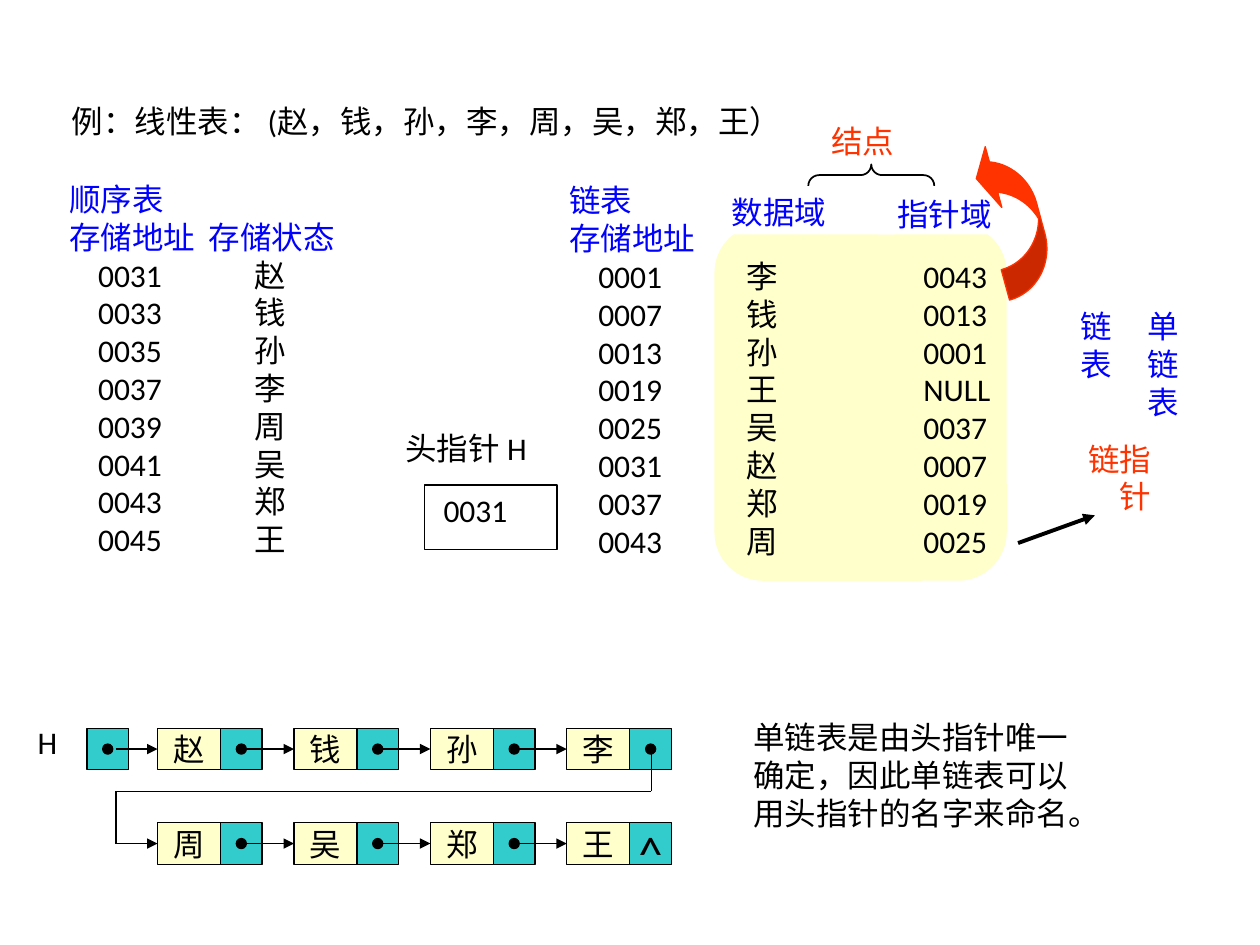
from dataclasses import dataclass

from lxml import etree
from pptx import Presentation
from pptx.dml.color import RGBColor
from pptx.enum.shapes import MSO_CONNECTOR, MSO_SHAPE
from pptx.enum.text import MSO_ANCHOR, PP_ALIGN
from pptx.oxml.ns import qn
from pptx.util import Inches, Pt

BLACK = RGBColor(0x00, 0x00, 0x00)
WHITE = RGBColor(0xFF, 0xFF, 0xFF)
BLUE = RGBColor(0x00, 0x00, 0xFF)
RED = RGBColor(0xFF, 0x33, 0x00)
CREAM = RGBColor(0xFF, 0xFF, 0xCC)
TEAL = RGBColor(0x33, 0xCC, 0xCC)
LATIN = "Calibri"
CHINESE = "Noto Sans CJK SC"
NOTE_FONT = "Noto Sans CJK JP"
RECTANGLE = MSO_SHAPE.RECTANGLE
STRAIGHT = MSO_CONNECTOR.STRAIGHT
TOP = MSO_ANCHOR.TOP
MIDDLE = MSO_ANCHOR.MIDDLE
LEFT = PP_ALIGN.LEFT
CENTER = PP_ALIGN.CENTER
LINE_PITCH = Pt(21.6)
CELL_HEIGHT = 0.33
DATA_WIDTH = 0.5
DOT_SIZE = 0.08
FIRST_NODE_X = 1.25
NODE_PITCH = 1.083
TURN_X = 0.92


@dataclass(frozen=True)
class Box:
    left: float
    top: float
    width: float
    height: float


@dataclass(frozen=True)
class Label:
    box: Box
    lines: tuple[str, ...]
    color: RGBColor = BLACK
    font: str = LATIN


@dataclass(frozen=True)
class StorageTable:
    box: Box
    headings: tuple[str, str]
    rows: tuple[str, ...]
    heading_stop: float
    stops: tuple[float, float]


@dataclass(frozen=True)
class NodeRow:
    names: str
    top: float


LABELS = (
    Label(Box(0.47, 0.76, 8.33, 0.46), ("例：线性表： (赵，钱，孙，李，周，吴，郑，王）",)),
    Label(Box(3.12, 3.36, 1.63, 0.5), ("头指针 H",)),
    Label(Box(7.23, 1.99, 1.1, 2.6),
          ("0043", "0013", "0001", "NULL", "0037", "0007", "0019", "0025")),
    Label(Box(6.5, 0.92, 1.08, 0.5), ("结点",), RED, CHINESE),
    Label(Box(8.54, 3.44, 0.53, 0.9), ("链",), RED, CHINESE),
    Label(Box(8.79, 3.44, 0.53, 1.3), ("指", "针"), RED, CHINESE),
    Label(Box(8.48, 2.39, 0.64, 1.3), ("链", "表"), BLUE, CHINESE),
    Label(Box(9.01, 2.39, 0.64, 1.7), ("单", "链", "表"), BLUE, CHINESE),
    Label(Box(0.2, 5.69, 0.54, 0.5), ("H",)),
    Label(Box(5.88, 5.65, 3.87, 1.3),
          ("单链表是由头指针唯一", "确定，因此单链表可以", "用头指针的名字来命名。"), BLACK, NOTE_FONT),
)
TABLES = (
    StorageTable(
        Box(0.45, 1.38, 3.22, 4.09), ("顺序表", "存储地址\t存储状态"),
        ("0031\t赵", "0033\t钱", "0035\t孙", "0037\t李",
         "0039\t周", "0041\t吴", "0043\t郑", "0045\t王"), 1.11, (0.23, 1.47)),
    StorageTable(
        Box(4.42, 1.39, 1.89, 3.13), ("链表", "存储地址"),
        ("0001\t李", "0007\t钱", "0013\t孙", "0019\t王",
         "0025\t吴", "0031\t赵", "0037\t郑", "0043\t周"), 1.11, (0.23, 1.41)),
)
NODE_ROWS = (NodeRow("赵钱孙李", 5.78), NodeRow("周吴郑王", 6.53))


def add_tab_stops(paragraph, stops: tuple[float, ...]) -> None:
    properties = paragraph._p.get_or_add_pPr()
    tab_list = etree.SubElement(properties, qn("a:tabLst"))
    for stop in stops:
        etree.SubElement(tab_list, qn("a:tab"), pos=str(Inches(stop)), algn="l")


def style_paragraph(paragraph, color: RGBColor, font: str = LATIN,
                    size: int = 18, spacing=LINE_PITCH, align=LEFT) -> None:
    paragraph.alignment = align
    paragraph.line_spacing = spacing
    paragraph.font.size = Pt(size)
    paragraph.font.color.rgb = color
    paragraph.font.name = font
    defaults = paragraph._p.pPr.find(qn("a:defRPr"))
    east_asian = CHINESE if font == LATIN else font
    etree.SubElement(defaults, qn("a:ea"), typeface=east_asian)


def add_text_box(slide, box: Box):
    text_box = slide.shapes.add_textbox(
        Inches(box.left), Inches(box.top), Inches(box.width), Inches(box.height))
    text_box.text_frame.word_wrap = True
    return text_box.text_frame


def add_label(slide, label: Label) -> None:
    frame = add_text_box(slide, label.box)
    frame.text = "\n".join(label.lines)
    for paragraph in frame.paragraphs:
        style_paragraph(paragraph, label.color, label.font)


def add_storage_table(slide, table: StorageTable) -> None:
    frame = add_text_box(slide, table.box)
    frame.text = "\n".join([*table.headings, *("\t" + row for row in table.rows)])
    for index, paragraph in enumerate(frame.paragraphs):
        is_heading = index < len(table.headings)
        add_tab_stops(paragraph, (table.heading_stop,) if is_heading else table.stops)
        style_paragraph(paragraph, BLUE if is_heading else BLACK)


def add_figure(slide, kind, box: Box, fill: RGBColor | None = None,
               line: RGBColor | None = None, line_width: float = 0.75):
    shape = slide.shapes.add_shape(
        kind, Inches(box.left), Inches(box.top), Inches(box.width), Inches(box.height))
    shape.shadow.inherit = False
    if fill is None:
        shape.fill.background()
    else:
        shape.fill.solid()
        shape.fill.fore_color.rgb = fill
    if line is None:
        shape.line.fill.background()
    else:
        shape.line.color.rgb = line
        shape.line.width = Pt(line_width)
    return shape


def write_in_shape(shape, text: str, color: RGBColor, inset: float, size: int = 18,
                   spacing=LINE_PITCH, align=LEFT, anchor=TOP) -> None:
    frame = shape.text_frame
    frame.word_wrap = align == LEFT
    frame.vertical_anchor = anchor
    frame.margin_left = Inches(inset)
    frame.text = text
    style_paragraph(frame.paragraphs[0], color, size=size, spacing=spacing, align=align)


def add_line(slide, start: tuple[float, float], end: tuple[float, float],
             arrow: bool = True, width: float = 0.75) -> None:
    connector = slide.shapes.add_connector(
        STRAIGHT, *(Inches(value) for value in (*start, *end)))
    connector.line.color.rgb = BLACK
    connector.line.width = Pt(width)
    if arrow:
        etree.SubElement(connector.line._get_or_add_ln(), qn("a:tailEnd"), type="triangle")
    etree.SubElement(connector._element.spPr, qn("a:effectLst"))


def add_pointer_cell(slide, left: float, top: float, has_dot: bool = True):
    cell = add_figure(slide, RECTANGLE, Box(left, top, CELL_HEIGHT, CELL_HEIGHT), TEAL, BLACK)
    if has_dot:
        offset = (CELL_HEIGHT - DOT_SIZE) / 2
        dot = Box(left + offset, top + offset, DOT_SIZE, DOT_SIZE)
        add_figure(slide, MSO_SHAPE.OVAL, dot, BLACK, BLACK)
    return cell


def add_node_row(slide, row: NodeRow, ends_list: bool) -> None:
    middle = row.top + CELL_HEIGHT / 2
    add_line(slide, (TURN_X, middle), (FIRST_NODE_X, middle))
    for index, name in enumerate(row.names):
        left = FIRST_NODE_X + index * NODE_PITCH
        pointer_left = left + DATA_WIDTH
        is_last = index == len(row.names) - 1
        data = add_figure(slide, RECTANGLE, Box(left, row.top, DATA_WIDTH, CELL_HEIGHT),
                          CREAM, BLACK)
        write_in_shape(data, name, BLACK, 0.1, align=CENTER, anchor=MIDDLE)
        pointer = add_pointer_cell(slide, pointer_left, row.top, not (is_last and ends_list))
        if not is_last:
            add_line(slide, (pointer_left + CELL_HEIGHT / 2, middle), (left + NODE_PITCH, middle))
        elif ends_list:
            write_in_shape(pointer, "^", BLACK, 0.1, 28, 1.3, CENTER, MIDDLE)


def main() -> None:
    presentation = Presentation()
    presentation.slide_width = Inches(10)
    presentation.slide_height = Inches(7.5)
    slide = presentation.slides.add_slide(presentation.slide_layouts[6])

    add_figure(slide, MSO_SHAPE.ROUNDED_RECTANGLE, Box(5.67, 1.78, 2.32, 2.83), CREAM)
    for table in TABLES:
        add_storage_table(slide, table)
    data_field = add_figure(slide, RECTANGLE, Box(5.71, 1.52, 1.38, 0.34), WHITE)
    write_in_shape(data_field, "数据域", BLUE, 0.1, spacing=Pt(19))
    pointer_field = add_figure(slide, RECTANGLE, Box(6.97, 1.58, 1.46, 0.28), WHITE)
    write_in_shape(pointer_field, "指针域", BLUE, 0.15, spacing=Pt(16))
    head_pointer = add_figure(slide, RECTANGLE, Box(3.37, 3.85, 1.05, 0.51), line=BLACK)
    write_in_shape(head_pointer, "0031", BLACK, 0.15)
    for label in LABELS:
        add_label(slide, label)

    brace = add_figure(slide, MSO_SHAPE.LEFT_BRACE, Box(6.83, 0.89, 0.17, 1),
                       line=BLACK, line_width=1)
    brace.adjustments[0] = 0.5
    brace.rotation = 90
    add_line(slide, (8.08, 4.31), (8.69, 4.09), width=2.25)
    curved_arrow = add_figure(slide, MSO_SHAPE.CURVED_LEFT_ARROW,
                              Box(7.84, 1.1, 0.41, 1.25), RED, RED)
    for index, value in enumerate((0.61, 1.22, 0.33)):
        curved_arrow.adjustments[index] = value
    curved_arrow.rotation = 344.7
    curved_arrow._element.spPr.xfrm.set("flipV", "1")

    add_pointer_cell(slide, 0.69, NODE_ROWS[0].top)
    for row in NODE_ROWS:
        add_node_row(slide, row, row is NODE_ROWS[-1])
    turn_points = ((5.17, 5.95), (5.17, 6.28), (TURN_X, 6.28), (TURN_X, 6.7))
    for start, end in zip(turn_points, turn_points[1:]):
        add_line(slide, start, end, arrow=False)
    presentation.save("out.pptx")


if __name__ == "__main__":
    main()
